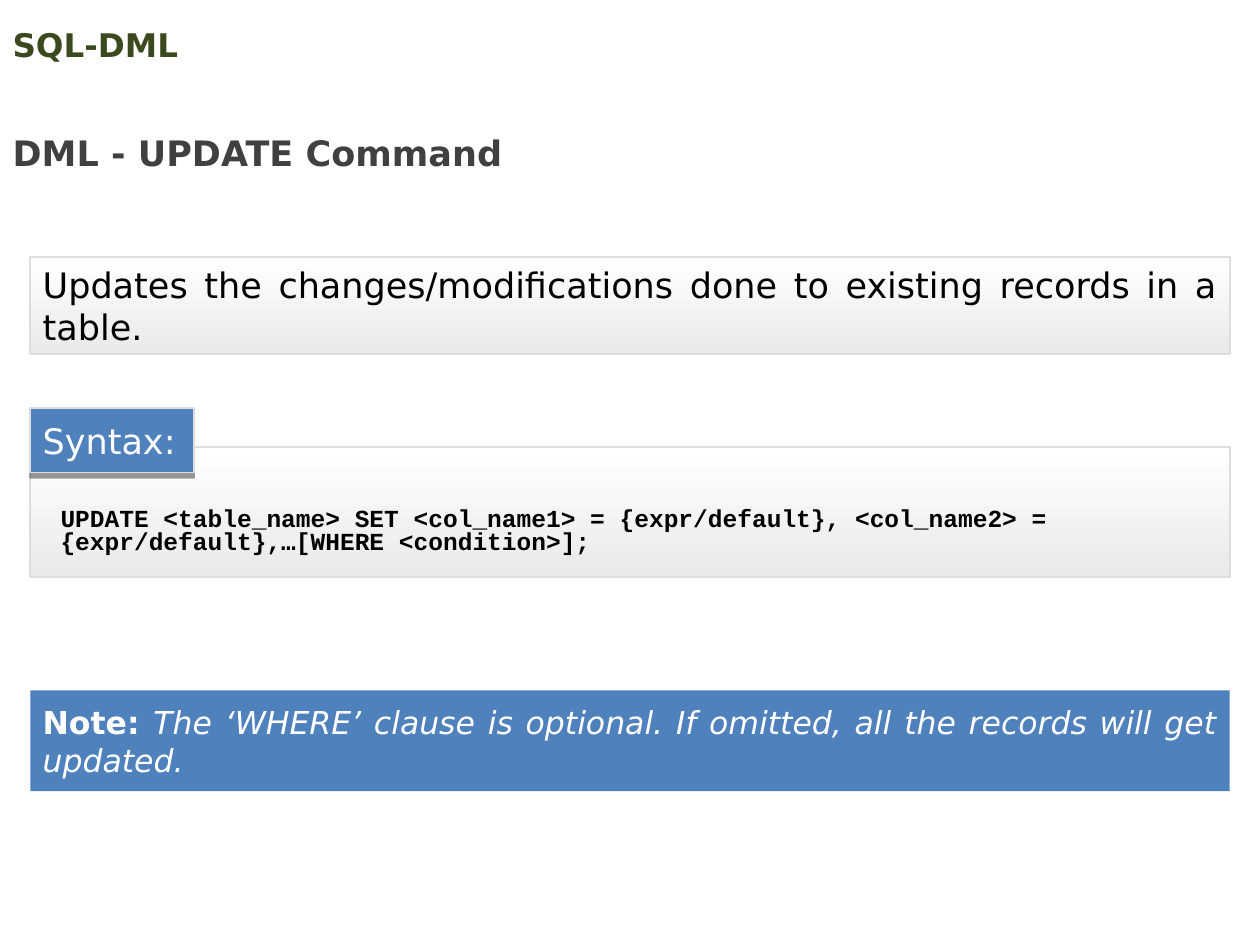
"""Builds a slide on the SQL UPDATE command."""
import pptx
import pptx.dml.color
import pptx.enum.shapes
import pptx.enum.text
import pptx.oxml
import pptx.oxml.ns
import pptx.util

Inches = pptx.util.Inches
Pt = pptx.util.Pt
RGBColor = pptx.dml.color.RGBColor
ALIGN = pptx.enum.text.PP_ALIGN
ANCHOR = pptx.enum.text.MSO_ANCHOR

OLIVE = RGBColor(0x3B, 0x4A, 0x1E)
GRAY = RGBColor(0x40, 0x40, 0x40)
BLACK = RGBColor(0, 0, 0)
WHITE = RGBColor(0xFF, 0xFF, 0xFF)
SMOKE = RGBColor(0xEA, 0xEA, 0xEA)
BORDER = RGBColor(0xDD, 0xDD, 0xDD)
BLUE = RGBColor(0x4F, 0x81, 0xBD)

LEFT, WIDTH = 0.24, 9.52
SHADOW = (
    '<a:outerShdw %s blurRad="0" dist="38100" dir="5400000" algn="t" rotWithShape="0">'
    '<a:srgbClr val="000000"><a:alpha val="40000"/></a:srgbClr></a:outerShdw>'
) % pptx.oxml.ns.nsdecls("a")


def add_text(p, text, size=20, color=BLACK, font="DejaVu Sans", bold=False, italic=False):
    r = p.add_run()
    r.text = text
    r.font.name = font
    r.font.size = Pt(size)
    r.font.color.rgb = color
    r.font.bold = bold
    r.font.italic = italic


class SlideBuilder:
    def __init__(self, prs):
        self.s = prs.slides.add_slide(prs.slide_layouts[0])

    def frame(self, sp, insets=(0.1, 0.05, 0.1, 0.05), anchor=ANCHOR.MIDDLE,
              align=ALIGN.LEFT, spacing=1.0, gap=0):
        tf = sp.text_frame
        tf.word_wrap = True
        tf.auto_size = pptx.enum.text.MSO_AUTO_SIZE.NONE
        tf.vertical_anchor = anchor
        tf.margin_left, tf.margin_top, tf.margin_right, tf.margin_bottom = map(Inches, insets)
        p = tf.paragraphs[0]
        p.alignment = align
        p.line_spacing = spacing
        p.space_before = p.space_after = Pt(gap)
        return p

    def heading(self, idx, box, text, size, color, **layout):
        sp = self.s.placeholders[idx]
        sp.left, sp.top, sp.width, sp.height = map(Inches, box)
        add_text(self.frame(sp, **layout), text, size=size, color=color, bold=True)

    def panel(self, shapes, box, fill=None, border=True, shadow=False, **layout):
        sp = shapes.add_shape(pptx.enum.shapes.MSO_SHAPE.RECTANGLE, *map(Inches, box))
        sp.shadow.inherit = False
        if shadow:
            effects = sp._element.spPr.find(pptx.oxml.ns.qn("a:effectLst"))
            effects.append(pptx.oxml.parse_xml(SHADOW))
        if fill is None:
            sp.fill.gradient()
            sp.fill.gradient_angle = 270
            for stop, color, position in zip(sp.fill.gradient_stops, (WHITE, SMOKE), (0, 1)):
                stop.color.rgb = color
                stop.position = position
        else:
            sp.fill.solid()
            sp.fill.fore_color.rgb = fill
        if border:
            sp.line.color.rgb = BORDER
            sp.line.width = Pt(1)
        else:
            sp.line.fill.background()
        return self.frame(sp, **layout)


def main():
    prs = pptx.Presentation()
    prs.slide_width, prs.slide_height = Inches(10), Inches(7.5)
    b = SlideBuilder(prs)

    b.heading(0, (0, 0.14, 9, 0.43), "SQL-DML", 18.6, OLIVE)
    b.heading(1, (0, 0.83, 8.28, 0.6), "DML - UPDATE Command", 20, GRAY,
              anchor=ANCHOR.TOP, spacing=1.5)

    p = b.panel(b.s.shapes, (LEFT, 2.04, WIDTH, 0.77), insets=(0.1,) * 4,
                align=ALIGN.JUSTIFY, gap=6)
    add_text(p, "Updates the changes/modifications done to existing records in a table.")

    syntax = b.s.shapes.add_group_shape().shapes
    p = b.panel(syntax, (LEFT, 3.55, WIDTH, 1.03), insets=(0.24, 0.41, 0.24, 0.1),
                spacing=0.8, gap=6)
    add_text(p, "UPDATE <table_name> SET <col_name1> = {expr/default}, "
                "<col_name2> = {expr/default},…[WHERE <condition>];",
             size=14, font="Courier New", bold=True)
    p = b.panel(syntax, (LEFT, 3.24, 1.3, 0.51), fill=BLUE, shadow=True, insets=(0.1, 0, 0, 0))
    add_text(p, "Syntax:", color=WHITE)

    p = b.panel(b.s.shapes, (LEFT, 5.48, WIDTH, 0.8), fill=BLUE, border=False,
                align=ALIGN.JUSTIFY)
    add_text(p, "Note: ", size=18, color=WHITE, bold=True)
    add_text(p, "The ‘WHERE’ clause is optional. If omitted, all the records will get updated.",
             size=18, color=WHITE, italic=True)

    prs.save("out.pptx")


if __name__ == "__main__":
    main()
